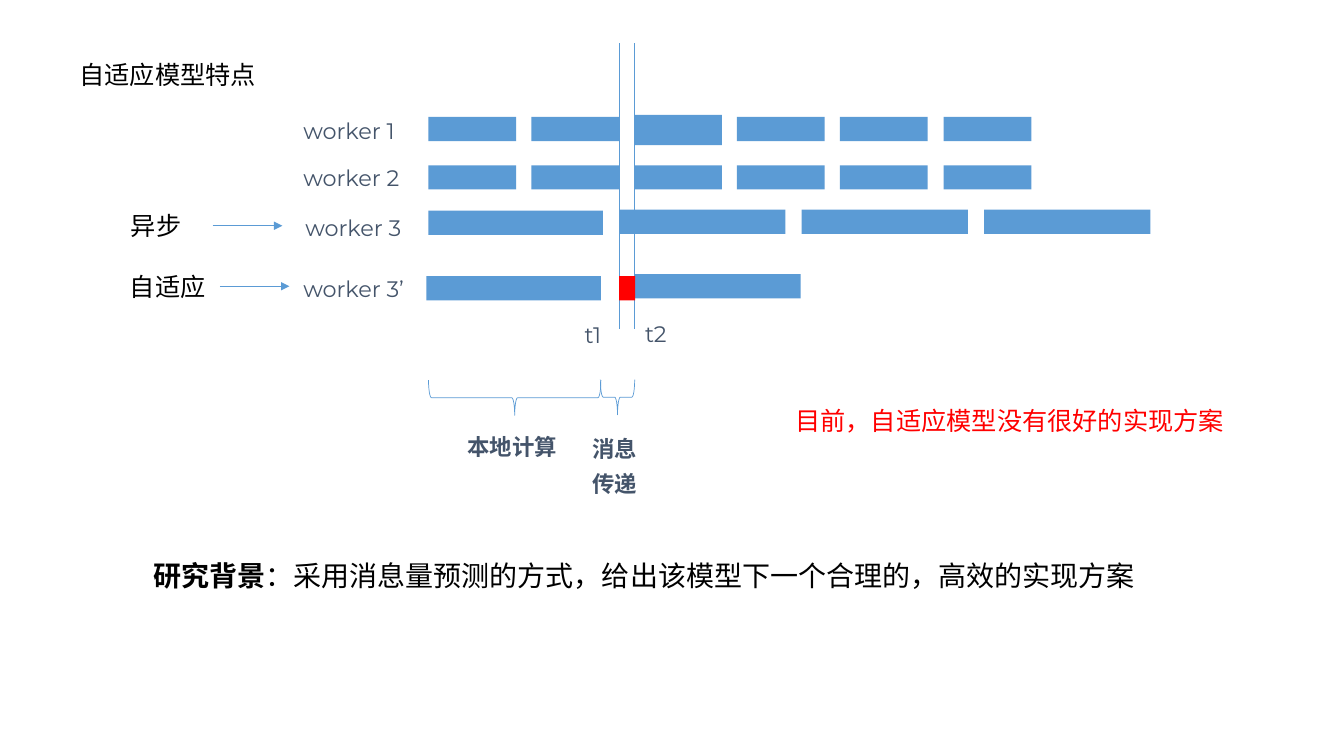
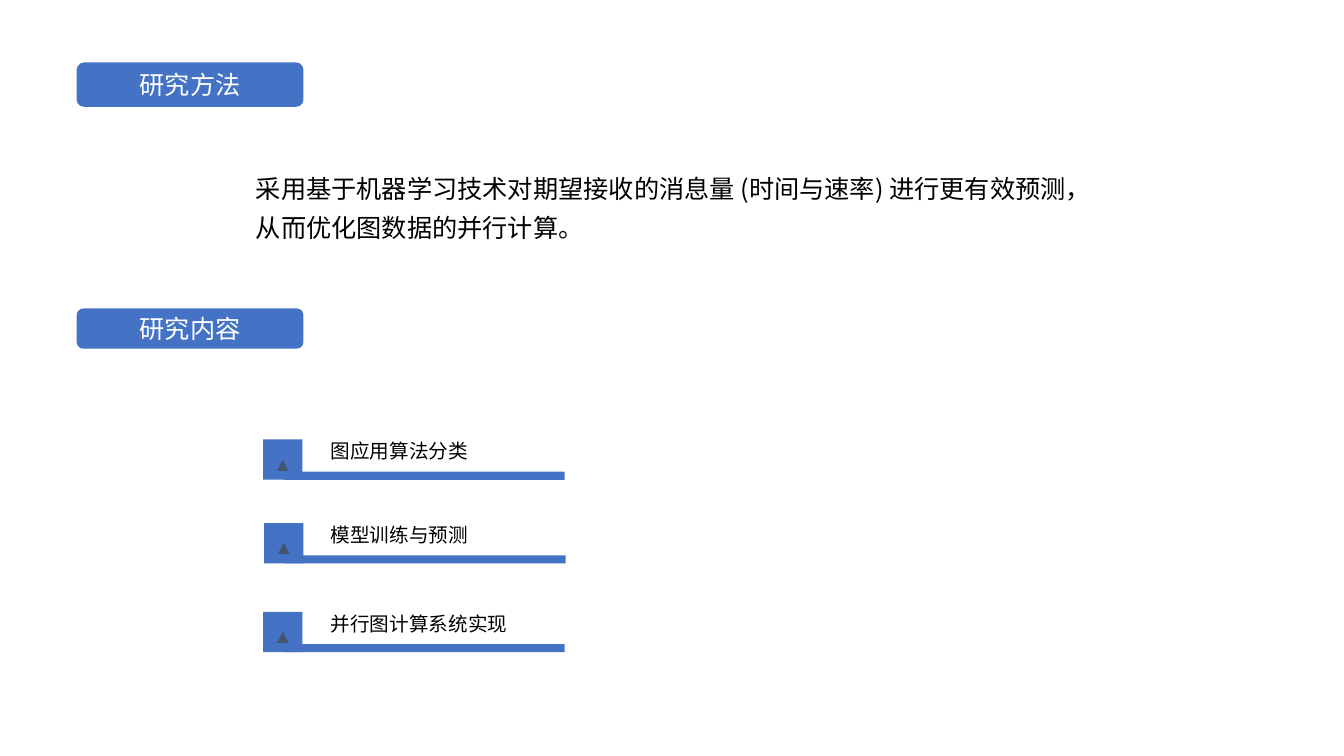
from pptx import Presentation
from pptx.dml.color import RGBColor
from pptx.enum.shapes import MSO_CONNECTOR, MSO_SHAPE as SHAPE
from pptx.enum.text import MSO_ANCHOR as ANCHOR, PP_ALIGN as ALIGN
from pptx.oxml.ns import qn
from pptx.util import Pt
from lxml.etree import SubElement

PX = 9144
COLORS = {
    "bar": "5B9BD5",
    "accent": "4472C4",
    "slate": "44546A",
    "red": "FF0000",
    "black": "000000",
    "white": "FFFFFF",
}
CJK = "Noto Sans CJK SC"
LATIN = "Montserrat"
ITEM = "Arial"


def rgb(name):
    return RGBColor.from_string(COLORS[name])


class Deck:
    def __init__(self, width, height):
        self.prs = Presentation()
        self.prs.slide_width = width * PX
        self.prs.slide_height = height * PX
        self.s = None

    def slide(self):
        self.s = self.prs.slides.add_slide(self.prs.slide_layouts[6])

    def style_run(self, r, size, font, color, bold=False):
        r.font.size = Pt(size)
        r.font.name = font
        r.font.bold = bold
        r.font.color.rgb = rgb(color)
        SubElement(r.font._element, qn("a:ea")).set("typeface", CJK)

    def style(self, tf, size, font, color, bold=False, spacing=None):
        for p in tf.paragraphs:
            if spacing:
                p.line_spacing = spacing
            for r in p.runs:
                self.style_run(r, size, font, color, bold)

    def text(self, x, y, w, h, text, size=18, font=CJK, color="black", **kw):
        tf = self.s.shapes.add_textbox(x * PX, y * PX, w * PX, h * PX).text_frame
        tf.word_wrap = True
        tf.text = text
        self.style(tf, size, font, color, **kw)
        return tf

    def label(self, x, y, w, h, text, bold=False):
        self.text(x, y, w, h, text, 16, LATIN, "slate", bold=bold, spacing=1.3)

    def shape(self, kind, x, y, w, h, fill=None, line=None, group=None):
        shapes = (group or self.s).shapes
        sp = shapes.add_shape(kind, x * PX, y * PX, w * PX, h * PX)
        sp.shadow.inherit = False
        if fill:
            sp.fill.solid()
            sp.fill.fore_color.rgb = rgb(fill)
        else:
            sp.fill.background()
        if line:
            sp.line.color.rgb = rgb(line)
            sp.line.width = Pt(0.5)
        else:
            sp.line.fill.background()
        return sp

    def bar(self, x, y, w, h=24, fill="bar"):
        self.shape(SHAPE.RECTANGLE, x, y, w, h, fill)

    def brace(self, x, y, w, h):
        left, top = x + (w - h) // 2, y + (h - w) // 2
        sp = self.shape(SHAPE.LEFT_BRACE, left, top, h, w, line="bar")
        sp.rotation = 270

    def line(self, x1, y1, x2, y2, arrow=False):
        c = self.s.shapes.add_connector(
            MSO_CONNECTOR.STRAIGHT, x1 * PX, y1 * PX, x2 * PX, y2 * PX)
        c.line.color.rgb = rgb("bar")
        c.line.width = Pt(0.5)
        if arrow:
            ln = c._element.spPr.find(qn("a:ln"))
            SubElement(ln, qn("a:tailEnd")).set("type", "triangle")
        SubElement(c._element.spPr, qn("a:effectLst"))

    def heading(self, y, h, text):
        sp = self.shape(SHAPE.ROUNDED_RECTANGLE, 76, y, 225, h, "accent")
        tf = sp.text_frame
        tf.text = text
        tf.vertical_anchor = ANCHOR.MIDDLE
        tf.paragraphs[0].alignment = ALIGN.CENTER
        self.style(tf, 18, LATIN, "white")

    def item(self, x, y, text):
        group = self.s.shapes.add_group_shape()
        corner = self.shape(SHAPE.RECTANGLE, x + 20, y + 24, 279, 16, "accent",
                            group=group)
        corner._element.spPr.find(qn("a:prstGeom")).set("prst", "corner")
        sp = self.shape(SHAPE.RECTANGLE, x, y, 39, 40, "accent", group=group)
        tf = sp.text_frame
        tf.text = "▲"
        tf.word_wrap = False
        tf.vertical_anchor = ANCHOR.TOP
        tf.paragraphs[0].alignment = ALIGN.LEFT
        self.style(tf, 14, ITEM, "slate", spacing=1.3)
        self.text(318, y - 12, 235, 38, text, 14, ITEM, spacing=1.3)


def model_slide(d):
    d.slide()
    d.text(69, 54, 218, 40, "自适应模型特点")

    workers = [("worker 1", 291, 103), ("worker 2", 291, 150),
               ("worker 3", 293, 200), ("worker 3’", 291, 260)]
    for name, x, y in workers:
        d.label(x, y, 132, 45, name)

    for row, y in enumerate((116, 164)):
        for i in range(6):
            tall = row == 0 and i == 2
            d.bar(425 + i * 511 // 5, y - 2 * tall, 87, 30 if tall else 24)
    d.bar(425, 209, 173)
    for i in range(3):
        d.bar(614 + 181 * i, 208, 165)
    d.bar(423, 274, 173)
    d.bar(629, 272, 165)

    for x in (614, 629):
        d.line(x, 43, x, 326)
    d.bar(614, 274, 16, fill="red")
    d.label(570, 306, 54, 45, "t1")
    d.label(630, 305, 54, 42, "t2")

    d.brace(425, 377, 171, 35)
    d.brace(596, 377, 34, 35)
    d.label(454, 417, 116, 42, "本地计算", bold=True)
    d.label(578, 419, 70, 80, "消息传递", bold=True)

    for text, x, y, w, start in (("异步", 120, 204, 80, 211),
                                 ("自适应", 119, 264, 104, 218)):
        d.text(x, y, w, 40, text)
        d.line(start, y + 20, start + 69, y + 20, arrow=True)

    d.text(779, 397, 468, 40, "目前，自适应模型没有很好的实现方案", color="red")
    tf = d.text(142, 549, 1075, 44, "研究背景", 20, bold=True)
    r = tf.paragraphs[0].add_run()
    r.text = "：采用消息量预测的方式，给出该模型下一个合理的，高效的实现方案"
    d.style_run(r, 20, CJK, "black")


def method_slide(d):
    d.slide()
    d.heading(62, 44, "研究方法")
    d.text(244, 158, 870, 89,
           "采用基于机器学习技术对期望接收的消息量 (时间与速率) 进行更有效预测，"
           "从而优化图数据的并行计算。", spacing=1.3)
    d.heading(306, 40, "研究内容")
    for x, y, text in ((261, 436, "图应用算法分类"),
                       (262, 519, "模型训练与预测"),
                       (261, 607, "并行图计算系统实现")):
        d.item(x, y, text)


def main():
    d = Deck(1333, 750)
    model_slide(d)
    method_slide(d)
    d.prs.save("out.pptx")


if __name__ == "__main__":
    main()
